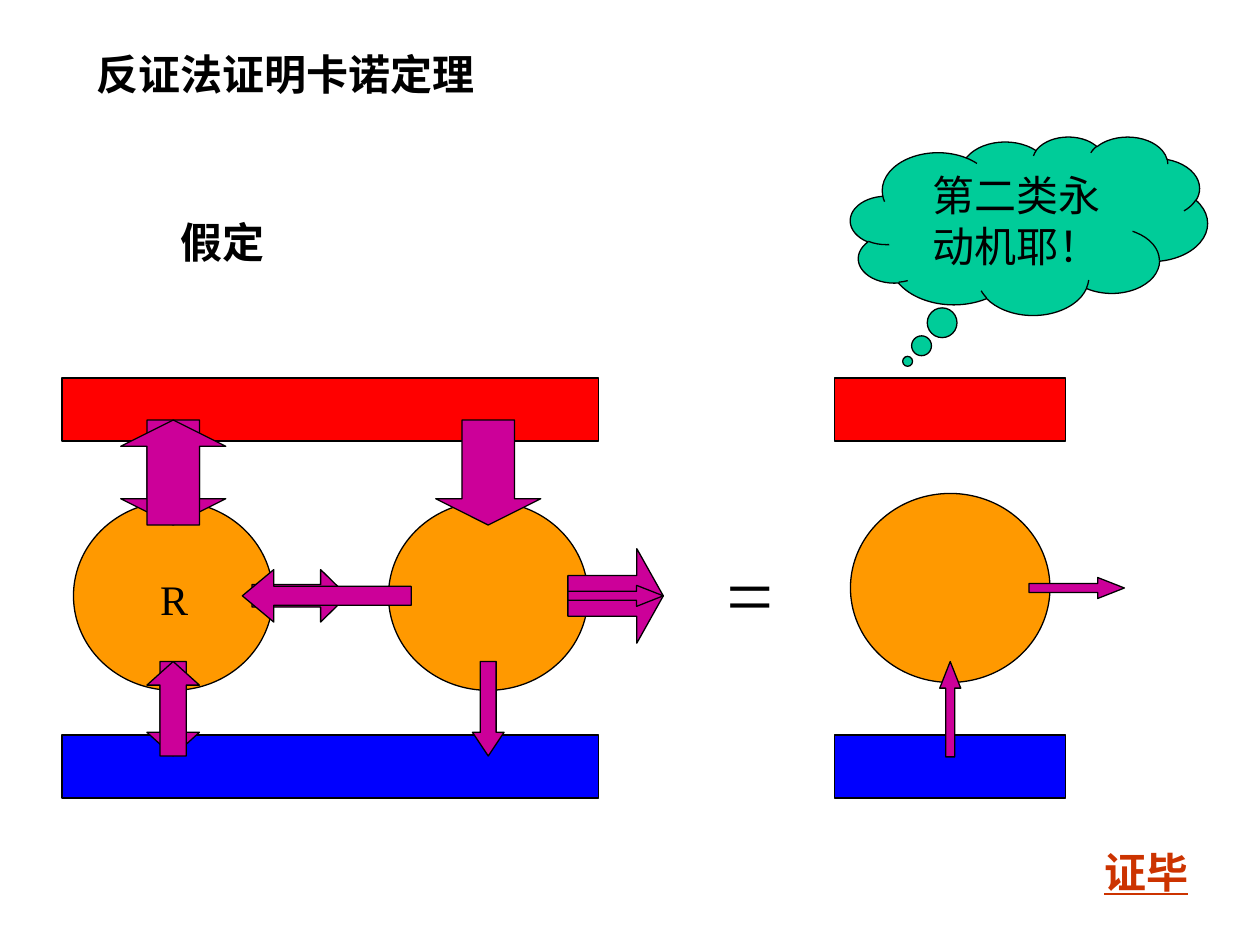
import pptx
import pptx.dml.color
import pptx.enum.shapes
import pptx.enum.text
import pptx.util

Pt = pptx.util.Pt
SHAPE = pptx.enum.shapes.MSO_SHAPE
ALIGN = pptx.enum.text.PP_ALIGN
ANCHOR = pptx.enum.text.MSO_ANCHOR
FONT = "Times New Roman"
BLACK, RED, BLUE = "000000", "FF0000", "0000FF"
ORANGE, PURPLE, GREEN, RUST = "FF9900", "CC0099", "00CC99", "CC3300"


def color(value):
    return pptx.dml.color.RGBColor.from_string(value)


def add_shape(page, kind, box, fill, adjustments=()):
    shape = page.shapes.add_shape(kind, *map(Pt, box))
    shape.shadow.inherit = False
    shape.fill.solid()
    shape.fill.fore_color.rgb = color(fill)
    shape.line.color.rgb = color(BLACK)
    shape.line.width = Pt(0.75)
    for index, value in enumerate(adjustments):
        shape.adjustments[index] = value
    return shape


def write(shape, text, size=24, ink=BLACK, bold=False, underline=False,
          align=ALIGN.LEFT, wrap=False):
    frame = shape.text_frame
    frame.text = text
    frame.word_wrap = wrap
    frame.vertical_anchor = ANCHOR.TOP
    frame.auto_size = pptx.enum.text.MSO_AUTO_SIZE.NONE
    para = frame.paragraphs[0]
    para.alignment = align
    font = para.runs[0].font
    font.name, font.size = FONT, Pt(size)
    font.bold, font.underline = bold, underline
    font.color.rgb = color(ink)


def add_label(page, box, text, **style):
    write(page.shapes.add_textbox(*map(Pt, box)), text, **style)


def add_title(page, box, text):
    title = page.shapes.title
    title.left, title.top, title.width, title.height = map(Pt, box)
    write(title, text, bold=True)


def add_reservoirs(page, box):
    left, top, width, height = box
    thickness = 36
    add_shape(page, SHAPE.RECTANGLE, (left, top, width, thickness), RED)
    add_shape(page, SHAPE.RECTANGLE,
              (left, top + height - thickness, width, thickness), BLUE)


def add_engine(page, center_x, center_y):
    width, height = 114, 108
    add_shape(page, SHAPE.OVAL,
              (center_x - width / 2, center_y - height / 2, width, height), ORANGE)


def add_vertical_arrow(page, kind, center_x, top, width, height, adjustments):
    add_shape(page, kind, (center_x - width / 2, top, width, height),
              PURPLE, adjustments)


def add_work_arrow(page, kind, left, center_y, width, height, adjustments):
    add_shape(page, kind, (left, center_y - height / 2, width, height),
              PURPLE, adjustments)


def add_coupled_engines(page, box):
    left, top = box[:2]
    reversible, other = left + 63.5, left + 243.5
    center_y = top + 124.5
    heat_top, waste_top = top + 24, top + 162
    add_reservoirs(page, box)
    for center_x in (reversible, other):
        add_engine(page, center_x, center_y)
        add_vertical_arrow(page, SHAPE.DOWN_ARROW, center_x, heat_top, 60, 60, (0.5, 0.25))
    add_vertical_arrow(page, SHAPE.DOWN_ARROW, other, waste_top, 18, 54, (0.5, 0.75))
    add_vertical_arrow(page, SHAPE.DOWN_ARROW, reversible, waste_top, 30, 54, (0.5, 0.45))
    add_work_arrow(page, SHAPE.RIGHT_ARROW, reversible + 45, center_y, 54.5, 30, (0.43, 0.51))
    add_work_arrow(page, SHAPE.RIGHT_ARROW, other + 45.5, center_y, 54.5, 54, (0.43, 0.28))
    add_work_arrow(page, SHAPE.LEFT_ARROW, reversible + 39.5, center_y, 96.5, 30, (0.36, 0.6))
    add_vertical_arrow(page, SHAPE.UP_ARROW, reversible, heat_top, 60, 60, (0.5, 0.25))
    add_vertical_arrow(page, SHAPE.UP_ARROW, reversible, waste_top, 30, 54, (0.5, 0.45))
    add_work_arrow(page, SHAPE.RIGHT_ARROW, other + 45.5, center_y, 54.5, 12, (0.43, 1.27))
    add_label(page, (left + 49, top + 108, 30, 36), "R")


def add_combined_engine(page, box):
    left, top, width = box[:3]
    center_x, center_y = left + width / 2, top + 120
    add_reservoirs(page, box)
    add_engine(page, center_x, center_y)
    add_work_arrow(page, SHAPE.RIGHT_ARROW, center_x + 45, center_y, 54.5, 12, (0.43, 1.27))
    add_vertical_arrow(page, SHAPE.UP_ARROW, center_x, top + 162, 12, 54.5, (0.43, 1.27))


def add_thought(page, box, text):
    cloud = add_shape(page, SHAPE.CLOUD_CALLOUT, box, GREEN, (-0.34, 0.76))
    write(cloud, text, align=ALIGN.CENTER, wrap=True)


def main():
    deck = pptx.Presentation()
    deck.slide_width, deck.slide_height = Pt(720), Pt(540)
    page = deck.slides.add_slide(deck.slide_layouts[5])
    add_title(page, (48, 24, 232, 36), "反证法证明卡诺定理")
    add_coupled_engines(page, (35.5, 216, 306.5, 240))
    add_label(page, (408, 306, 42, 65), "=", size=48, wrap=True)
    add_combined_engine(page, (477, 216, 132, 240))
    add_thought(page, (486, 78, 204, 102), "第二类永动机耶！")
    add_label(page, (624, 480, 63, 36), "证毕", ink=RUST, bold=True, underline=True)
    add_label(page, (96, 120, 63, 36), "假定", bold=True)
    deck.save("out.pptx")


if __name__ == "__main__":
    main()
